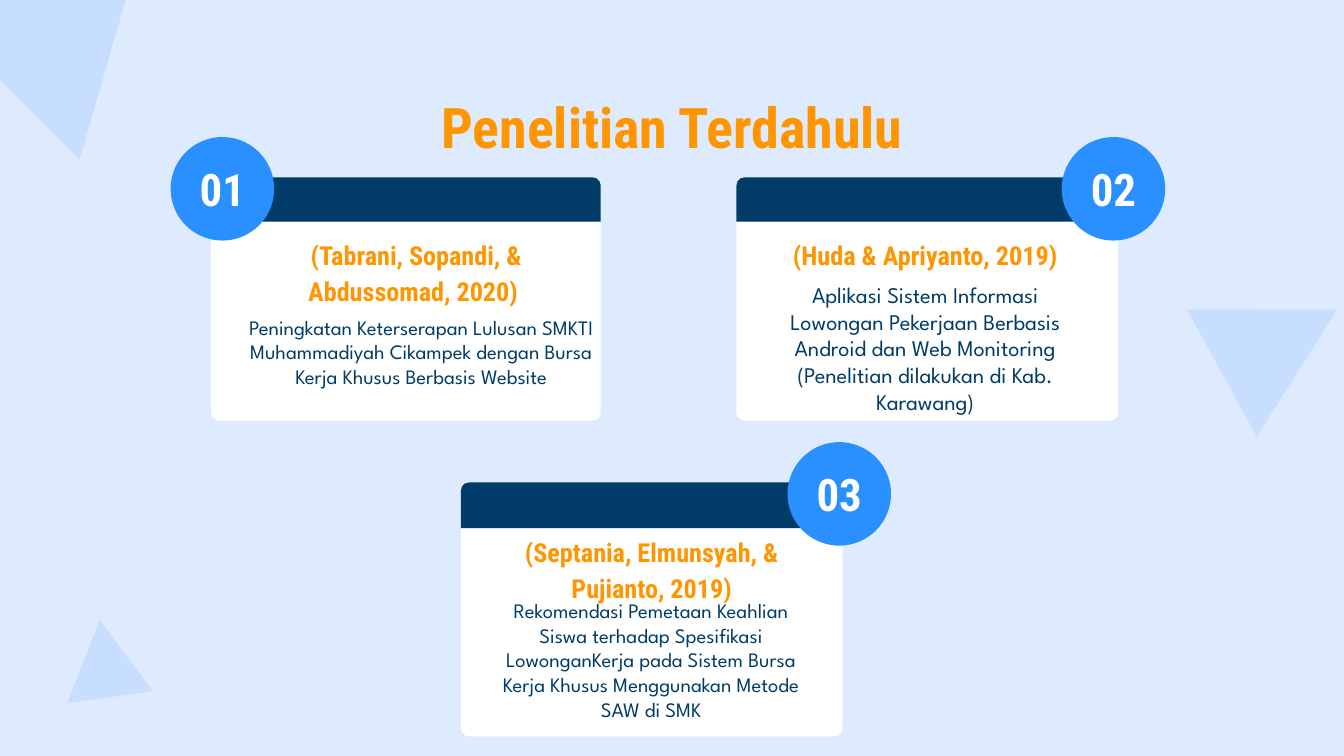
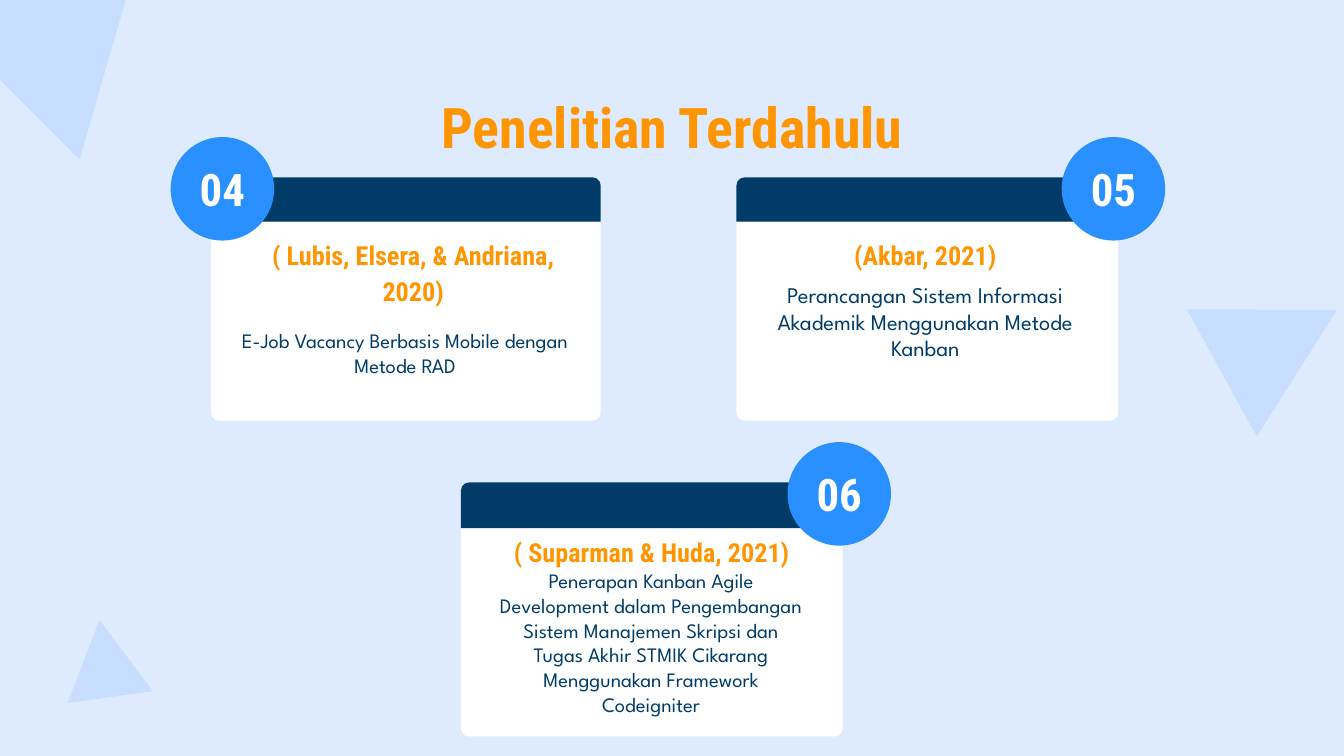
from dataclasses import dataclass

from pptx import Presentation
from pptx.dml.color import RGBColor
from pptx.enum.shapes import MSO_SHAPE
from pptx.enum.text import MSO_ANCHOR, PP_ALIGN
from pptx.shapes.autoshape import Shape
from pptx.slide import Slide
from pptx.util import Inches, Pt

PALE = RGBColor(0xDE, 0xEB, 0xFF)
TINT = RGBColor(0xC8, 0xDE, 0xFF)
WHITE = RGBColor(0xFF, 0xFF, 0xFF)
NAVY = RGBColor(0x00, 0x3C, 0x67)
BLUE = RGBColor(0x2A, 0x90, 0xFF)
ORANGE = RGBColor(0xFF, 0x95, 0x00)

HEAD = "Roboto Condensed"
BODY = "League Spartan"

TRIANGLE = MSO_SHAPE.ISOSCELES_TRIANGLE
OVAL = MSO_SHAPE.OVAL
CARD = MSO_SHAPE.ROUND_2_SAME_RECTANGLE
CENTER = PP_ALIGN.CENTER
TOP = MSO_ANCHOR.TOP
MIDDLE = MSO_ANCHOR.MIDDLE

WIDTH = Inches(10)
HEIGHT = WIDTH * 9 // 16
RADIUS = 0.06
DISC = 0.77
INSET = 0.05


@dataclass(frozen=True)
class Box:
    left: float
    top: float
    width: float
    height: float


@dataclass(frozen=True)
class Style:
    font: str
    size: float
    color: RGBColor
    bold: bool = False
    line: float = 1.0
    after: float = 0
    anchor: MSO_ANCHOR = TOP


@dataclass(frozen=True)
class Slot:
    card: Box
    band: float
    disc: tuple[float, float]
    name: Box
    body: Box
    style: Style


@dataclass(frozen=True)
class Study:
    name: str
    topic: str
    shift: tuple[float, float] = (0, 0)


TITLE = Style(HEAD, 30, ORANGE, bold=True)
NAME = Style(HEAD, 14, ORANGE, bold=True, line=1.15, after=12)
NUMBER = Style(HEAD, 24, WHITE, bold=True, anchor=MIDDLE)
SMALL = Style(BODY, 11, NAVY)
LARGE = Style(BODY, 12, NAVY)

DECOR = [
    (Box(8.98, 2.05, 1.08, 0.98), 61.2),
    (Box(-0.49, -1.1, 2.03, 1.84), 45),
    (Box(0.46, 4.61, 0.64, 0.58), 352.2),
]

SLOTS = [
    Slot(Box(1.57, 1.32, 2.9, 1.81), 0.33, (1.27, 1.02),
         Box(1.84, 1.65, 2.47, 0.77), Box(1.62, 2.24, 3.03, 1.09), SMALL),
    Slot(Box(5.48, 1.32, 2.84, 1.81), 0.33, (7.9, 1.02),
         Box(5.42, 1.65, 2.93, 0.77), Box(5.65, 1.99, 2.47, 0.8), LARGE),
    Slot(Box(3.43, 3.59, 2.84, 1.89), 0.34, (5.86, 3.29),
         Box(3.58, 3.86, 2.54, 0.57), Box(3.61, 4.35, 2.47, 0.66), SMALL),
]

PAGES = [
    [
        Study(" (Tabrani, Sopandi, & Abdussomad, 2020)",
              "Peningkatan Keterserapan Lulusan SMKTI Muhammadiyah Cikampek "
              "dengan Bursa Kerja Khusus Berbasis Website"),
        Study("(Huda & Apriyanto, 2019)",
              "Aplikasi Sistem Informasi Lowongan Pekerjaan Berbasis Android "
              "dan Web Monitoring (Penelitian dilakukan di Kab. Karawang)"),
        Study("(Septania, Elmunsyah, & Pujianto, 2019)",
              "Rekomendasi Pemetaan Keahlian Siswa terhadap Spesifikasi "
              "LowonganKerja pada Sistem Bursa Kerja Khusus Menggunakan "
              "Metode SAW di SMK"),
    ],
    [
        Study("( Lubis, Elsera, & Andriana, 2020)",
              "E-Job Vacancy Berbasis Mobile dengan Metode RAD",
              (-0.12, 0.1)),
        Study("(Akbar, 2021)",
              "Perancangan Sistem Informasi Akademik Menggunakan Metode Kanban"),
        Study("( Suparman & Huda, 2021)",
              "Penerapan Kanban Agile Development dalam Pengembangan Sistem "
              "Manajemen Skripsi dan Tugas Akhir STMIK Cikarang Menggunakan "
              "Framework Codeigniter", (0, -0.22)),
    ],
]


def add_form(slide: Slide, kind: MSO_SHAPE, box: Box, color: RGBColor) -> Shape:
    form = slide.shapes.add_shape(
        kind, Inches(box.left), Inches(box.top),
        Inches(box.width), Inches(box.height))
    form.shadow.inherit = False
    form.fill.solid()
    form.fill.fore_color.rgb = color
    form.line.fill.background()
    return form


def add_text(slide: Slide, box: Box, text: str, style: Style) -> None:
    frame = slide.shapes.add_textbox(
        Inches(box.left), Inches(box.top),
        Inches(box.width), Inches(box.height)).text_frame
    frame.word_wrap = True
    frame.vertical_anchor = style.anchor
    frame.margin_left = frame.margin_right = Inches(0.1)
    frame.margin_top = frame.margin_bottom = Inches(0.1)
    frame.text = text
    para = frame.paragraphs[0]
    para.alignment = CENTER
    para.line_spacing = style.line
    para.space_after = Pt(style.after)
    font = para.runs[0].font
    font.name = style.font
    font.size = Pt(style.size)
    font.bold = style.bold
    font.color.rgb = style.color


def add_card(slide: Slide, slot: Slot) -> None:
    card = slot.card
    rest = card.height - slot.band
    body = add_form(slide, CARD, Box(
        card.left, card.top + slot.band, card.width, rest), WHITE)
    body.adjustments[0] = 0
    body.adjustments[1] = RADIUS / rest
    band = add_form(slide, CARD, Box(
        card.left, card.top, card.width, slot.band), NAVY)
    band.adjustments[0] = RADIUS / slot.band
    band.adjustments[1] = 0
    add_form(slide, OVAL, Box(*slot.disc, DISC, DISC), BLUE)


def add_study(slide: Slide, slot: Slot, study: Study, number: int) -> None:
    add_text(slide, slot.name, study.name, NAME)
    body = slot.body
    right, down = study.shift
    add_text(slide, Box(body.left + right, body.top + down,
                        body.width, body.height), study.topic, slot.style)
    left, top = slot.disc
    side = DISC - 2 * INSET
    add_text(slide, Box(left + INSET, top + INSET, side, side),
             f"{number:02d}", NUMBER)


def add_page(deck: Presentation, studies: list[Study], first: int) -> None:
    slide = deck.slides.add_slide(deck.slide_layouts[6])
    for box, angle in DECOR:
        add_form(slide, TRIANGLE, box, TINT).rotation = angle
    for slot in reversed(SLOTS):
        add_card(slide, slot)
    add_text(slide, Box(0.78, 0.59, 8.44, 0.7), "Penelitian Terdahulu", TITLE)
    for number, (slot, study) in enumerate(zip(SLOTS, studies), first):
        add_study(slide, slot, study, number)


def main() -> None:
    deck = Presentation()
    deck.slide_width = WIDTH
    deck.slide_height = HEIGHT
    fill = deck.slide_master.background.fill
    fill.solid()
    fill.fore_color.rgb = PALE
    for index, studies in enumerate(PAGES):
        add_page(deck, studies, index * len(SLOTS) + 1)
    deck.save("out.pptx")


if __name__ == "__main__":
    main()
